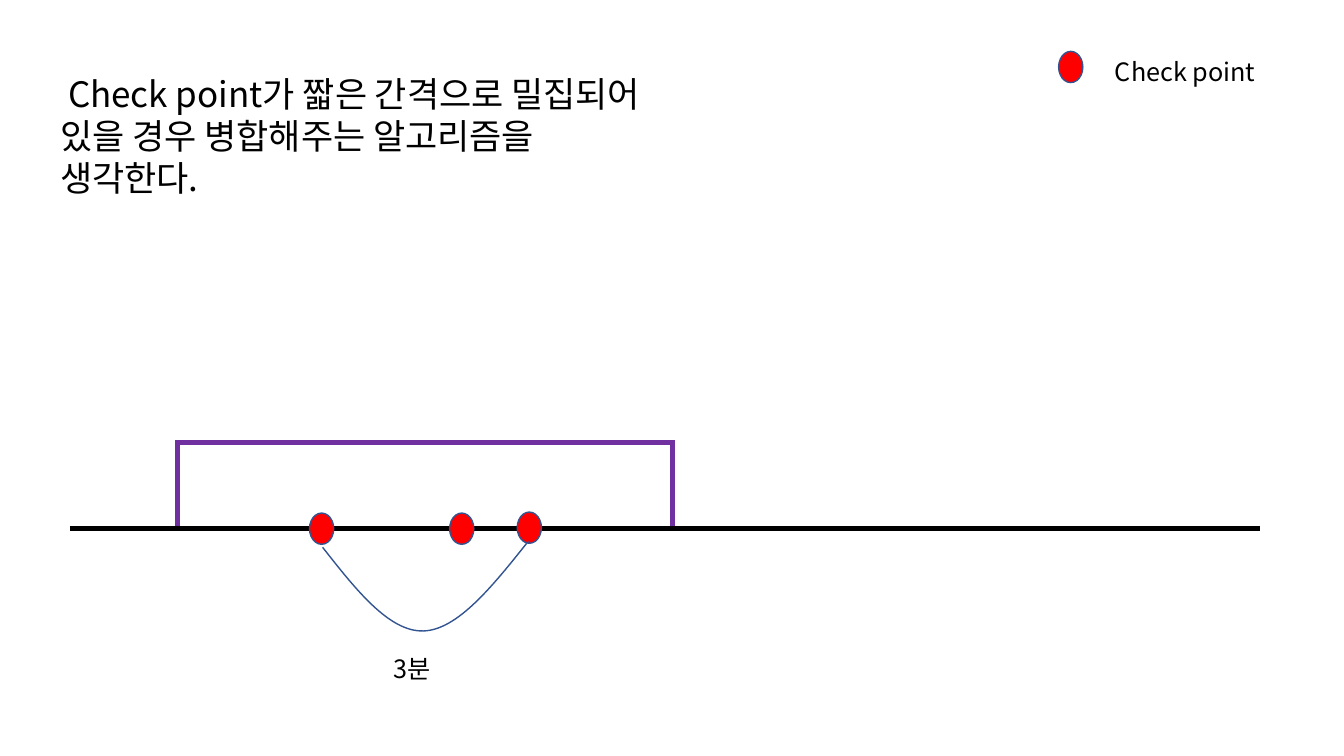
"""Build the slide on merging closely spaced check points along a timeline."""
from dataclasses import dataclass

from lxml import etree
from pptx import Presentation
from pptx.dml.color import RGBColor
from pptx.enum.shapes import MSO_CONNECTOR, MSO_SHAPE
from pptx.enum.text import MSO_AUTO_SIZE
from pptx.oxml.ns import qn
from pptx.util import Inches, Pt

ELLIPSE, RECTANGLE = MSO_SHAPE.OVAL, MSO_SHAPE.RECTANGLE
STRAIGHT = MSO_CONNECTOR.STRAIGHT
GROW = MSO_AUTO_SIZE.SHAPE_TO_FIT_TEXT


@dataclass(frozen=True)
class Theme:
    """Colours, font and sizes of the slide."""
    black: RGBColor = RGBColor(0x00, 0x00, 0x00)
    red: RGBColor = RGBColor(0xFF, 0x00, 0x00)
    blue: RGBColor = RGBColor(0x32, 0x54, 0x91)
    purple: RGBColor = RGBColor(0x70, 0x30, 0xA0)
    font: str = "Noto Sans CJK KR"
    statement: float = 25
    label: float = 18
    thin: float = 1
    frame: float = 3
    axis: float = 3.5


@dataclass(frozen=True)
class CheckPoint:
    """Top left corner of a check point marker, in inches."""
    left: float
    top: float


@dataclass(frozen=True)
class Label:
    """A text with its box in inches and its size in points."""
    text: str
    left: float
    top: float
    width: float
    height: float
    size: float


THEME = Theme()
MARKER_SIZE = (0.24, 0.31)
TIMELINE = (0.69, 5.24, 12.5, 5.24)
MERGE_FRAME = (1.76, 4.39, 4.91, 0.85)
SPAN_START = (3.2, 5.43)
SPAN_CURVE = [(3.53, 5.85), (3.86, 6.27), (4.2, 6.26),
              (4.54, 6.25), (4.89, 5.81), (5.24, 5.37)]
CHECK_POINTS = [CheckPoint(3.07, 5.09), CheckPoint(4.46, 5.09), CheckPoint(5.13, 5.08)]
LEGEND_POINT = CheckPoint(10.5, 0.51)
LABELS = [
    Label("3분", 3.8, 6.43, 1.81, 0.4, THEME.label),
    Label(" Check point가 짧은 간격으로 밀집되어 있을 경우 병합해주는 알고리즘을 생각한다.",
          0.5, 0.67, 5.98, 1.36, THEME.statement),
    Label("Check point", 10.96, 0.51, 2.06, 0.71, THEME.label),
]


def set_line(shape, color: RGBColor, width: float) -> None:
    """Give a shape or connector a solid line with mitred corners."""
    shape.line.color.rgb = color
    shape.line.width = Pt(width)
    etree.SubElement(shape.line._get_or_add_ln(), qn("a:miter"), lim="800000")


def add_frame(s) -> None:
    """Draw the unfilled frame around the points to be merged."""
    sp = s.shapes.add_shape(RECTANGLE, *map(Inches, MERGE_FRAME))
    sp.shadow.inherit = False
    sp.fill.background()
    set_line(sp, THEME.purple, THEME.frame)


def add_timeline(s) -> None:
    """Draw the horizontal time axis."""
    line = s.shapes.add_connector(STRAIGHT, *map(Inches, TIMELINE))
    set_line(line, THEME.black, THEME.axis)
    etree.SubElement(line._element.spPr, qn("a:effectLst"))


def add_check_point(s, point: CheckPoint) -> None:
    """Draw one check point marker."""
    box = (point.left, point.top, *MARKER_SIZE)
    sp = s.shapes.add_shape(ELLIPSE, *map(Inches, box))
    sp.shadow.inherit = False
    sp.fill.solid()
    sp.fill.fore_color.rgb = THEME.red
    set_line(sp, THEME.blue, THEME.thin)


def add_span_curve(s) -> None:
    """Draw the span as a freeform, turning each three segments into a Bezier."""
    builder = s.shapes.build_freeform(*map(Inches, SPAN_START))
    builder.add_line_segments([(Inches(x), Inches(y)) for x, y in SPAN_CURVE], close=False)
    sp = builder.convert_to_shape()
    sp.shadow.inherit = False
    sp.fill.background()
    set_line(sp, THEME.blue, THEME.thin)
    segments = list(sp._element.iter(qn("a:lnTo")))
    outline = segments[0].getparent()
    for i in range(0, len(segments), 3):
        bezier = etree.SubElement(outline, qn("a:cubicBezTo"))
        for segment in segments[i:i + 3]:
            bezier.append(segment[0])
            outline.remove(segment)


def add_label(s, label: Label) -> None:
    """Add a wrapped text box."""
    box = (label.left, label.top, label.width, label.height)
    tf = s.shapes.add_textbox(*map(Inches, box)).text_frame
    tf.word_wrap = True
    tf.auto_size = GROW
    r = tf.paragraphs[0].add_run()
    r.text = label.text
    for name, value in {"name": THEME.font, "size": Pt(label.size)}.items():
        setattr(r.font, name, value)
    r.font.color.rgb = THEME.black
    etree.SubElement(r._r.get_or_add_rPr(), qn("a:ea"), typeface=THEME.font)


def main() -> None:
    """Build and save the slide."""
    prs = Presentation()
    prs.slide_width, prs.slide_height = Inches(13.33), Inches(7.5)
    s = prs.slides.add_slide(prs.slide_layouts[6])
    add_frame(s)
    add_timeline(s)
    for point in CHECK_POINTS:
        add_check_point(s, point)
    add_span_curve(s)
    add_check_point(s, LEGEND_POINT)
    for label in LABELS:
        add_label(s, label)
    prs.save("out.pptx")


main()
